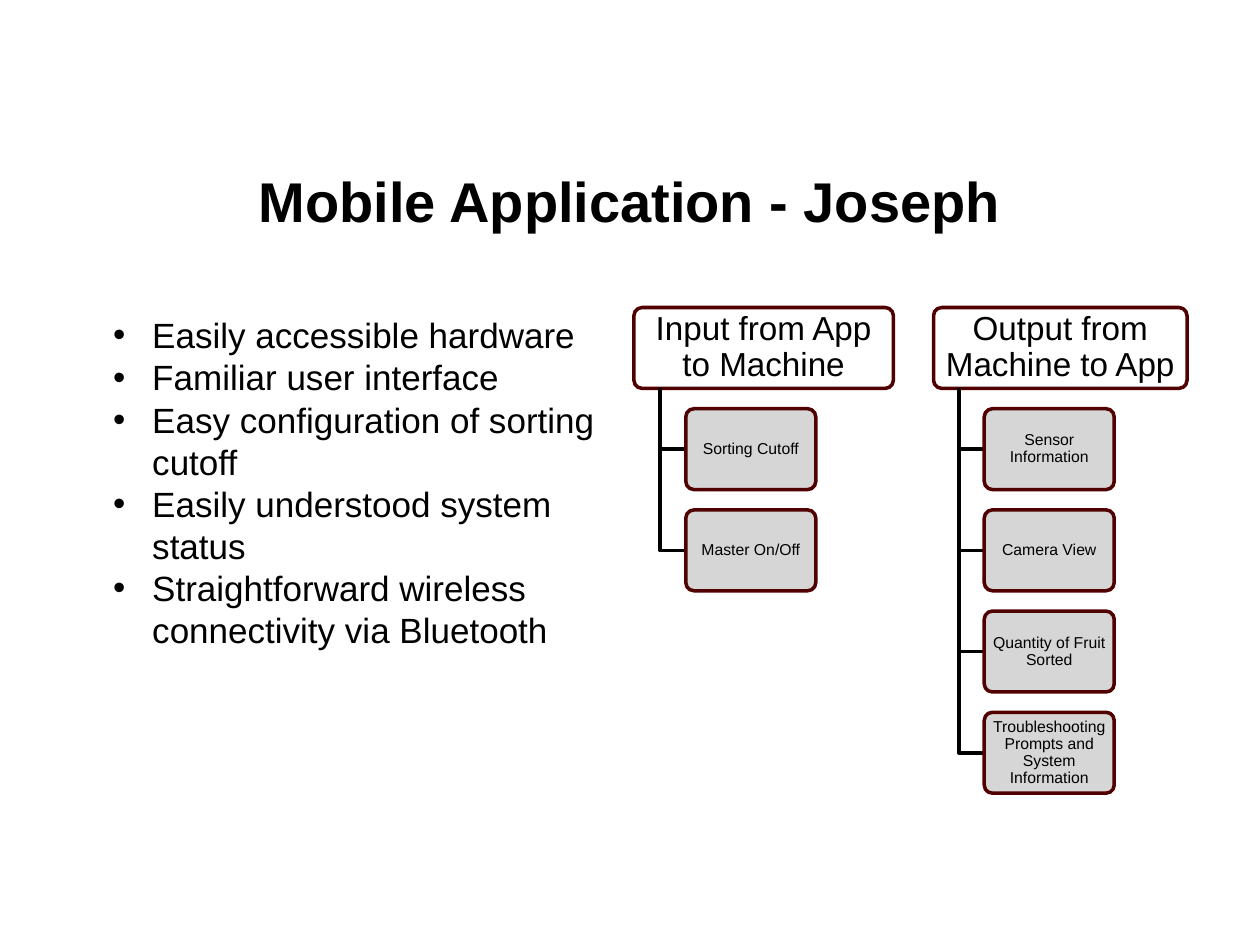
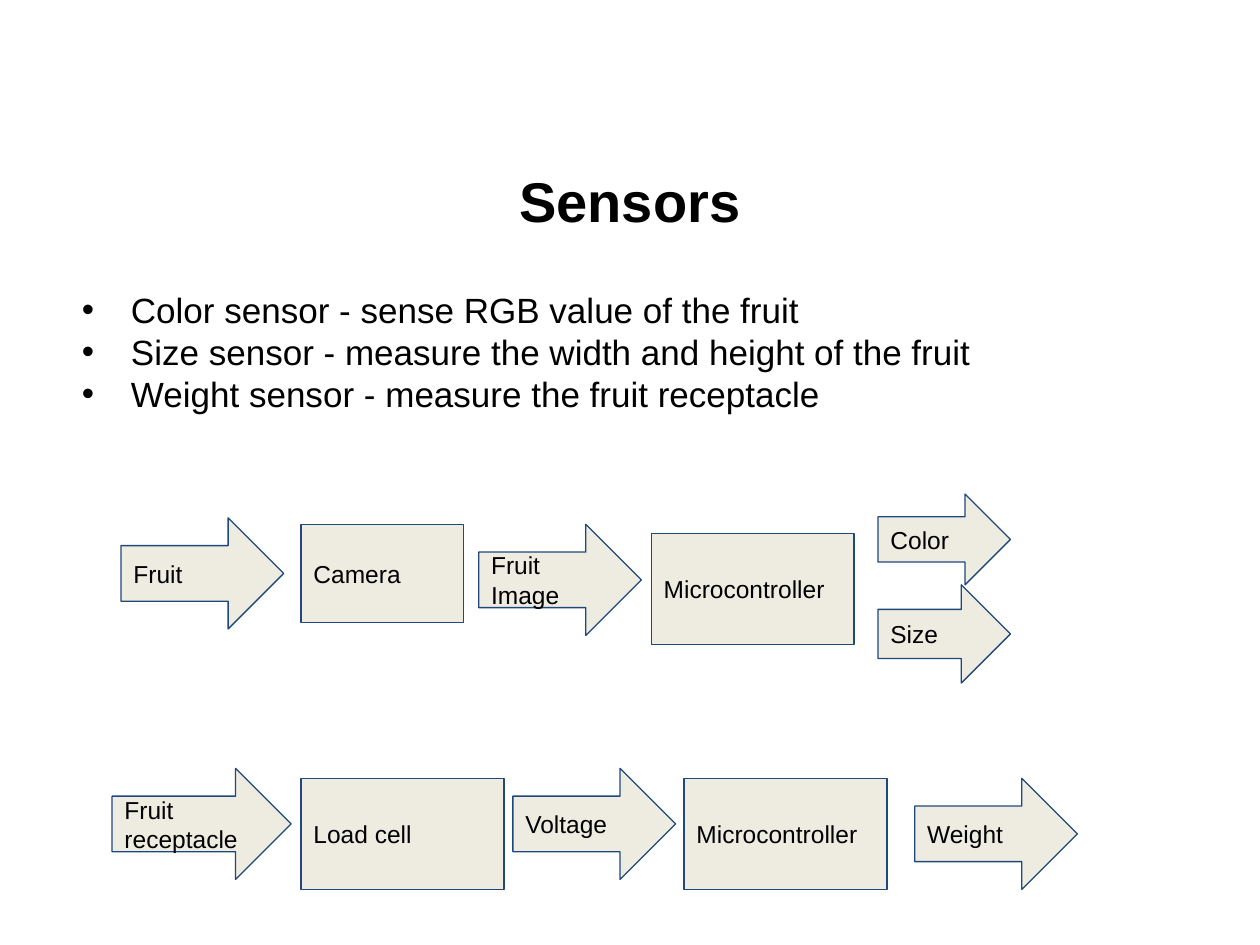
from lxml.etree import SubElement as Sub
from pptx import Presentation
from pptx.dml.color import RGBColor
from pptx.enum.shapes import MSO_SHAPE as Kind
from pptx.enum.text import MSO_ANCHOR as Anchor, PP_ALIGN as Align
from pptx.oxml.ns import qn
from pptx.util import Cm, Pt

FONT = "Arial"
BLACK = "000000"
WHITE = "FFFFFF"
MAROON = "500000"
GRAY = "D1D1D1"
CREAM = "EEECE1"
NAVY = "1F497D"

TITLE_BOX = (1.27, 2.92, 22.86, 2.24)
NODE_H = 1.63
LEAF_W = 2.62
STEP = 2.04
FLOW_H = 2.24
ARROW_W = 3.28
BLOCK_W = 4.09


def tint(code):
    return RGBColor.from_string(code)


def paint(shape, fill, line, width):
    shape.shadow.inherit = False
    if fill:
        shape.fill.solid()
        shape.fill.fore_color.rgb = tint(fill)
    else:
        shape.fill.background()
    shape.line.color.rgb = tint(line)
    shape.line.width = Pt(width)


def fade(shape, share):
    color = shape.fill._xPr.find(qn("a:solidFill"))[0]
    Sub(color, qn("a:alpha"), val=str(share * 1000))


def frame_up(shape, side, edge, anchor):
    frame = shape.text_frame
    frame.word_wrap = True
    frame.vertical_anchor = anchor
    frame.margin_left = frame.margin_right = Cm(side)
    frame.margin_top = frame.margin_bottom = Cm(edge)
    return frame


def write(para, text, size, align=Align.LEFT, bold=False):
    para.alignment = align
    run = para.add_run()
    run.text = text
    run.font.name = FONT
    run.font.size = Pt(size)
    run.font.bold = bold
    run.font.color.rgb = tint(BLACK)


def add_title(slide, text):
    box = slide.shapes.add_textbox(*map(Cm, TITLE_BOX))
    frame = frame_up(box, 0.25, 0.13, Anchor.MIDDLE)
    write(frame.paragraphs[0], text, 32, Align.CENTER, True)


def add_list(slide, box, items, left, hang, before=0):
    shape = slide.shapes.add_textbox(*map(Cm, box))
    frame = frame_up(shape, 0.25, 0.13, Anchor.TOP)
    for i, text in enumerate(items):
        para = frame.add_paragraph() if i else frame.paragraphs[0]
        write(para, text, 20)
        para.space_before = Pt(0 if i else before)
        props = para._p.get_or_add_pPr()
        props.set("marL", str(Cm(left)))
        props.set("indent", str(-Cm(hang)))
        Sub(Sub(props, qn("a:buClr")), qn("a:srgbClr"), val=BLACK)
        Sub(props, qn("a:buFont"), typeface=FONT)
        Sub(props, qn("a:buChar"), char="•")


def add_node(slide, box, text, size, fill, side, edge):
    node = slide.shapes.add_shape(Kind.ROUNDED_RECTANGLE, *map(Cm, box))
    node.adjustments[0] = 0.1
    paint(node, fill, MAROON, 2)
    frame = frame_up(node, side, edge, Anchor.MIDDLE)
    para = frame.paragraphs[0]
    para.line_spacing = 0.9
    write(para, text, size, Align.CENTER)
    return node


def add_tree(slide, left, top, width, head, leaves):
    stem, branch = left + 0.1 * width, left + 0.2 * width
    base = top + NODE_H
    add_node(slide, (left, top, width, NODE_H), head, 19, WHITE, 0.1, 0.08)
    for i, text in enumerate(leaves, 1):
        y = top + i * STEP
        mid = y + NODE_H / 2
        path = slide.shapes.build_freeform(Cm(stem), Cm(base))
        path.add_line_segments(
            [(Cm(stem), Cm(mid)), (Cm(branch), Cm(mid))], close=False)
        paint(path.convert_to_shape(), None, BLACK, 2)
        leaf = add_node(slide, (branch, y, LEAF_W, NODE_H), text, 9,
                        GRAY, 0.05, 0.03)
        fade(leaf, 89)


def add_flow(slide, left, top, parts):
    for kind, text, x, y, width, height in parts:
        part = slide.shapes.add_shape(
            kind, Cm(left + x), Cm(top + y), Cm(width), Cm(height))
        paint(part, CREAM, NAVY, 0.75)
        frame = frame_up(part, 0.25, 0.25, Anchor.MIDDLE)
        write(frame.paragraphs[0], text, 14)


def app_slide(slide):
    add_title(slide, "Mobile Application - Joseph")
    add_list(slide, (2.03, 6.2, 10.67, 8.28), [
        "Easily accessible hardware",
        "Familiar user interface",
        "Easy configuration of sorting cutoff",
        "Easily understood system status",
        "Straightforward wireless connectivity via Bluetooth",
    ], 0.79, 0.79)
    add_tree(slide, 12.78, 6.2, 5.23, "Input from App to Machine",
             ["Sorting Cutoff", "Master On/Off"])
    add_tree(slide, 18.82, 6.2, 5.11, "Output from Machine to App", [
        "Sensor Information",
        "Camera View",
        "Quantity of Fruit Sorted",
        "Troubleshooting Prompts and System Information",
    ])


def sensor_slide(slide):
    arrow, block = Kind.RIGHT_ARROW, Kind.RECTANGLE
    add_title(slide, "Sensors")
    add_list(slide, (1.12, 5.69, 21.69, 11.33), [
        "Color sensor - sense RGB value of the fruit",
        "Size sensor - measure the width and height of the fruit",
        "Weight sensor - measure the fruit receptacle",
    ], 1.27, 0.99, 3.6)
    add_flow(slide, 2.26, 9.96, [
        (arrow, "Fruit", 0.18, 0.48, ARROW_W, FLOW_H),
        (block, "Camera", 3.81, 0.61, ARROW_W, 1.98),
        (arrow, "Fruit Image", 7.39, 0.61, ARROW_W, FLOW_H),
        (block, "Microcontroller", 10.87, 0.79, BLOCK_W, FLOW_H),
        (arrow, "Color", 15.44, 0, 2.67, 1.83),
        (arrow, "Size", 15.44, 1.83, 2.67, 1.98),
    ])
    add_flow(slide, 2.26, 15.49, [
        (arrow, "Fruit receptacle", 0, 0, 3.61, FLOW_H),
        (block, "Load cell", 3.81, 0.2, BLOCK_W, FLOW_H),
        (arrow, "Voltage", 8.08, 0, ARROW_W, FLOW_H),
        (block, "Microcontroller", 11.53, 0.2, BLOCK_W, FLOW_H),
        (arrow, "Weight", 16.18, 0.2, ARROW_W, FLOW_H),
    ])


def main():
    deck = Presentation()
    deck.slide_width, deck.slide_height = Cm(25.4), Cm(19.05)
    for build in (app_slide, sensor_slide):
        build(deck.slides.add_slide(deck.slide_layouts[6]))
    deck.save("out.pptx")


if __name__ == "__main__":
    main()
